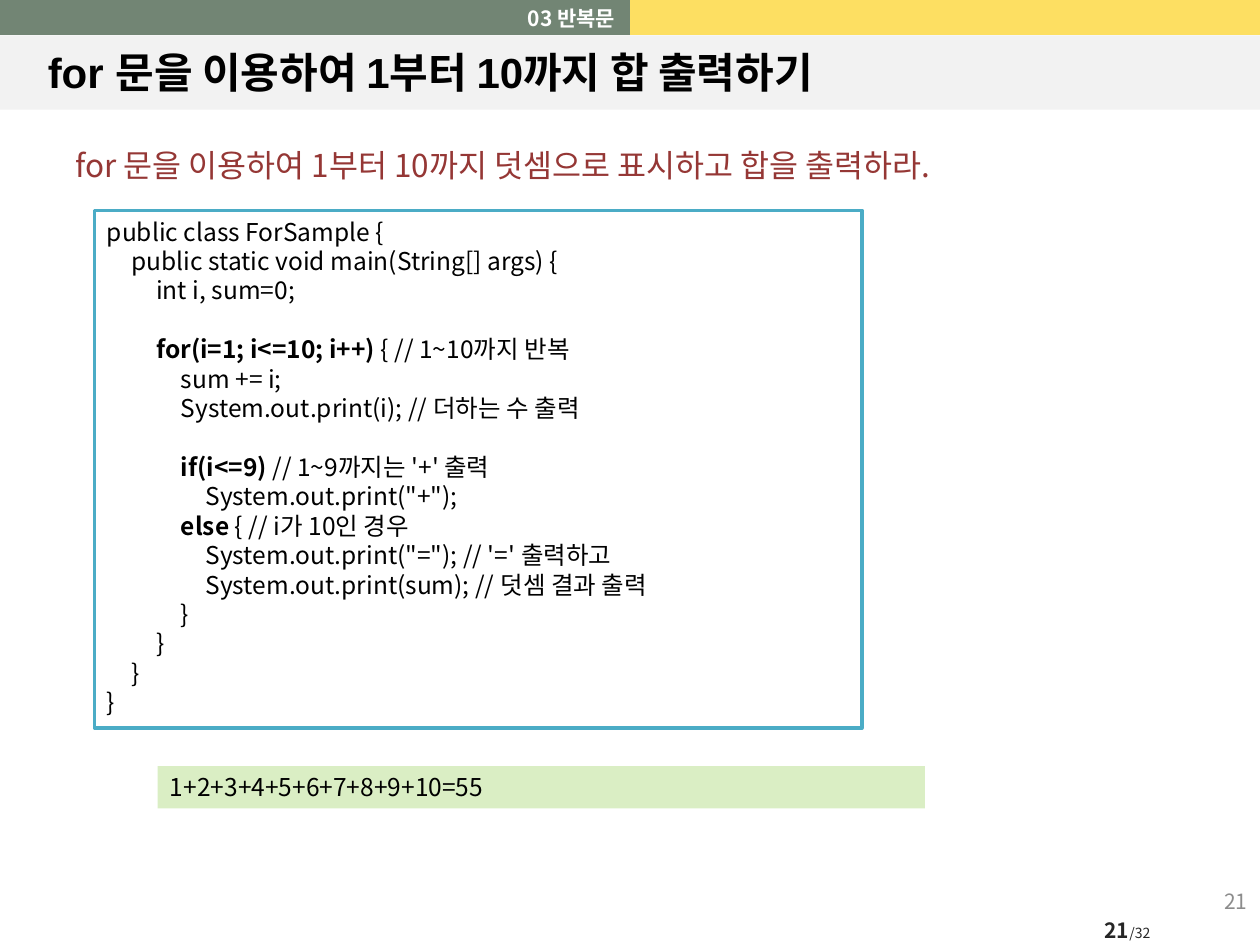
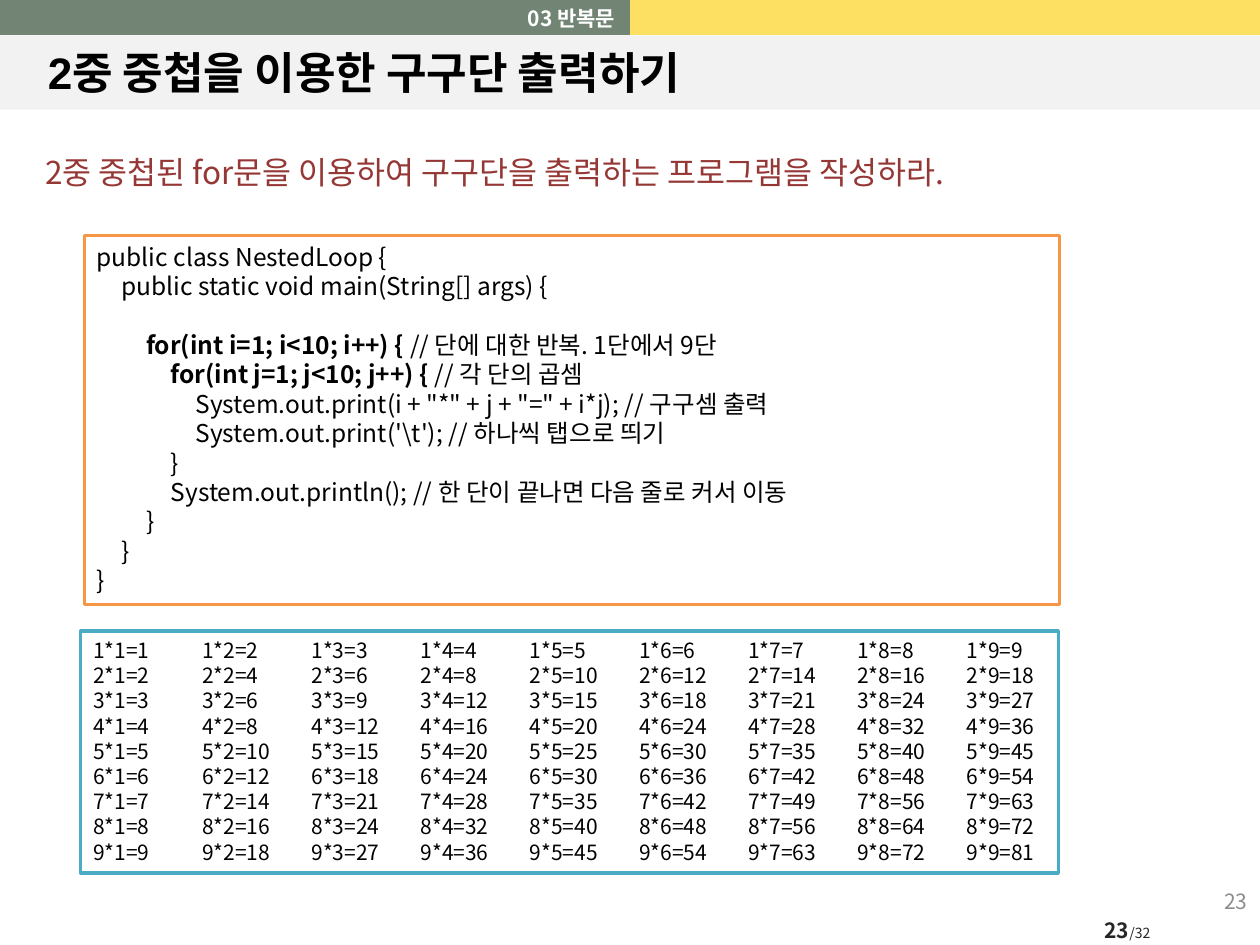
from lxml.etree import SubElement
from pptx import Presentation
from pptx.dml.color import RGBColor
from pptx.enum.shapes import MSO_SHAPE
from pptx.enum.text import MSO_ANCHOR, PP_ALIGN
from pptx.oxml.ns import qn
from pptx.util import Pt

BODY_FONT = "Noto Sans CJK KR"
TITLE_FONT = "Arial"
BLACK, WHITE = "000000", "FFFFFF"
GREEN, YELLOW, PALE_GRAY = "728574", "FDDF62", "F2F2F2"
TEAL, ORANGE, LIME, RED = "4BACC6", "F79646", "DAEEC4", "953735"
DARK_GRAY, MID_GRAY = "262626", "8C8C8C"
NO_TABLE_STYLE = "{2D5ABB26-0587-4C30-8999-92F81FD0307C}"
CODE_TAB, RESULT_TAB = 14.1, 62.4
PAGE_TOTAL = 32

FOR_SAMPLE = [
    (0, "", "public class ForSample {"),
    (1, "", "public static void main(String[] args) {"),
    (2, "", "int i, sum=0;"),
    (0, "", ""),
    (2, "for(i=1; i<=10; i++)", " { // 1~10까지 반복"),
    (3, "", "sum += i;"),
    (3, "", "System.out.print(i); // 더하는 수 출력"),
    (0, "", ""),
    (3, "if(i<=9) ", "// 1~9까지는 '+' 출력"),
    (4, "", 'System.out.print("+");'),
    (3, "else ", "{ // i가 10인 경우"),
    (4, "", "System.out.print(\"=\"); // '=' 출력하고"),
    (4, "", "System.out.print(sum); // 덧셈 결과 출력"),
    (3, "", "}"),
    (2, "", "}"),
    (1, "", "}"),
    (0, "", "}"),
]
NESTED_LOOP = [
    (0, "", "public class NestedLoop {"),
    (1, "", "public static void main(String[] args) {"),
    (0, "", ""),
    (2, "for(int i=1; i<10; i++) { ", "// 단에 대한 반복. 1단에서 9단"),
    (3, "for(int j=1; j<10; j++) { ", "// 각 단의 곱셈"),
    (4, "", 'System.out.print(i + "*" + j + "=" + i*j); // 구구셈 출력'),
    (4, "", r"System.out.print('\t'); // 하나씩 탭으로 띄기"),
    (3, "", "}"),
    (3, "", "System.out.println(); // 한 단이 끝나면 다음 줄로 커서 이동"),
    (2, "", "}"),
    (1, "", "}"),
    (0, "", "}"),
]


def color(hex_code):
    """Turn a hex string into a colour."""
    return RGBColor.from_string(hex_code)


def style_run(r, size, hex_code, bold=False, font=BODY_FONT):
    """Set the Latin and East Asian fonts, size, colour and weight of a run."""
    r.font.name, r.font.size, r.font.bold = font, Pt(size), bold
    r.font.color.rgb = color(hex_code)
    SubElement(r.font._element, qn("a:ea"), typeface=BODY_FONT)


def set_empty_size(p, size):
    """Give a paragraph without runs its text size."""
    SubElement(p._p, qn("a:endParaRPr"), sz=str(size * 100))


def add_label(s, box, text, size, hex_code, bold=False, font=BODY_FONT,
              align=PP_ALIGN.LEFT, anchor=MSO_ANCHOR.MIDDLE):
    """Add a text box with one line and return its paragraph."""
    tf = s.shapes.add_textbox(*map(Pt, box)).text_frame
    tf.word_wrap, tf.vertical_anchor = True, anchor
    p = tf.paragraphs[0]
    p.text, p.alignment = text, align
    style_run(p.runs[0], size, hex_code, bold, font)
    return p


def add_panel(s, box, fill, line=None):
    """Add a flat rectangle, framed when a line colour is given."""
    sp = s.shapes.add_shape(MSO_SHAPE.RECTANGLE, *map(Pt, box))
    sp.shadow.inherit = False
    sp.fill.solid()
    sp.fill.fore_color.rgb = color(fill)
    if line:
        sp.line.color.rgb = color(line)
        sp.line.width = Pt(2)
    else:
        sp.line.fill.background()
    return sp


def add_listing(s, box, lines, size=14, fill=WHITE, line=None, tab=CODE_TAB, stops=4):
    """Add a panel of (depth, bold text, plain text) lines on even tab stops."""
    tf = add_panel(s, box, fill, line).text_frame
    tf.word_wrap, tf.vertical_anchor = True, MSO_ANCHOR.TOP
    for i, (depth, strong, plain) in enumerate(lines):
        p = tf.add_paragraph() if i else tf.paragraphs[0]
        p.alignment, p.line_spacing = PP_ALIGN.LEFT, Pt(size * 1.2)
        tabs = SubElement(p._p.get_or_add_pPr(), qn("a:tabLst"))
        for n in range(1, stops + 1):
            SubElement(tabs, qn("a:tab"), pos=str(Pt(tab * n)), algn="l")
        for text, bold in (("\t" * depth + strong, True), (plain, False)):
            if text:
                r = p.add_run()
                r.text = text
                style_run(r, size, BLACK, bold)
        if not p.runs:
            set_empty_size(p, size)


def add_top_band(s):
    """Add the two-colour band along the top edge."""
    table = s.shapes.add_table(1, 2, 0, 0, Pt(720), Pt(20.2)).table
    table._tbl.tblPr.find(qn("a:tableStyleId")).text = NO_TABLE_STYLE
    for cell, fill in zip(table.iter_cells(), (GREEN, YELLOW)):
        cell.fill.solid()
        cell.fill.fore_color.rgb = color(fill)
        cell.margin_top = cell.margin_bottom = 0
        set_empty_size(cell.text_frame.paragraphs[0], 8)


def add_page_count(s, page):
    """Add the page number with the total beside it."""
    p = add_label(s, (609.8, 522, 69.1, 18.7), str(page), 12, DARK_GRAY,
                  bold=True, align=PP_ALIGN.CENTER)
    r = p.add_run()
    r.text = f"/{PAGE_TOTAL}"
    style_run(r, 8, DARK_GRAY)


def add_lesson_slide(prs, page, title, title_size):
    """Add a slide with the shared bands, heading and page numbers."""
    s = prs.slides.add_slide(prs.slide_layouts[6])
    add_panel(s, (0, 20.2, 720, 42.5), PALE_GRAY)
    add_page_count(s, page)
    add_top_band(s)
    add_label(s, (20.2, 20.9, 680.4, 40.3), title, title_size, BLACK,
              bold=True, font=TITLE_FONT)
    add_label(s, (0, 0, 358.6, 20.2), "03 반복문", 12, WHITE, bold=True,
              align=PP_ALIGN.RIGHT)
    add_label(s, (552.2, 500.4, 167.8, 28.8), str(page), 12, MID_GRAY,
              align=PP_ALIGN.RIGHT)
    return s


def add_task(s, left, top, text):
    """Add the red sentence that states the task."""
    p = add_label(s, (left, top, 615.6, 28.8), text, 18, RED, anchor=MSO_ANCHOR.TOP)
    p.line_spacing = Pt(21.6)


def add_sum_slide(prs):
    """Add the slide that sums 1 to 10."""
    s = add_lesson_slide(prs, 21, "for 문을 이용하여 1부터 10까지 합 출력하기", 24)
    add_task(s, 36, 79.9, "for 문을 이용하여 1부터 10까지 덧셈으로 표시하고 합을 출력하라.")
    add_listing(s, (54, 120.2, 438.5, 295.9), FOR_SAMPLE, line=TEAL)
    total = "+".join(map(str, range(1, 11))) + f"={sum(range(1, 11))}"
    add_listing(s, (90, 437.8, 438.5, 24.2), [(0, "", total)], fill=LIME)


def add_times_table_slide(prs):
    """Add the slide that prints the multiplication table."""
    s = add_lesson_slide(prs, 23, "2중 중첩을 이용한 구구단 출력하기", 25.2)
    add_task(s, 18.7, 84.2, "2중 중첩된 for문을 이용하여 구구단을 출력하는 프로그램을 작성하라.")
    add_listing(s, (48.2, 134.6, 557.3, 211), NESTED_LOOP, line=ORANGE)
    digits = range(1, 10)
    products = [(0, "", "\t".join(f"{i}*{j}={i * j}" for j in digits)) for i in digits]
    add_listing(s, (46.1, 360.7, 558.7, 138.2), products, size=12, line=TEAL,
                tab=RESULT_TAB, stops=8)


def main():
    """Build and save the presentation."""
    prs = Presentation()
    prs.slide_width, prs.slide_height = Pt(720), Pt(540)
    add_sum_slide(prs)
    add_times_table_slide(prs)
    prs.save("out.pptx")


if __name__ == "__main__":
    main()
